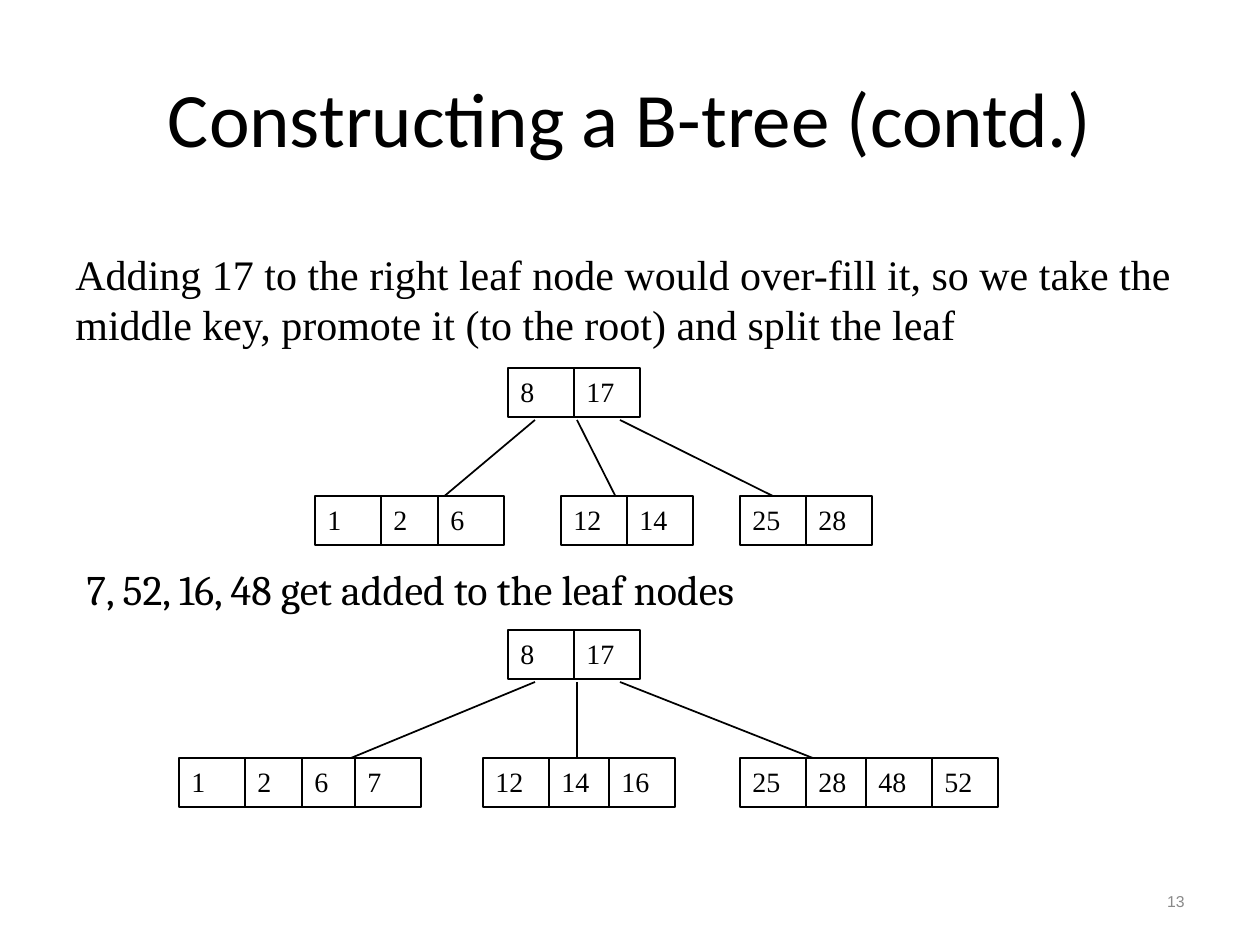
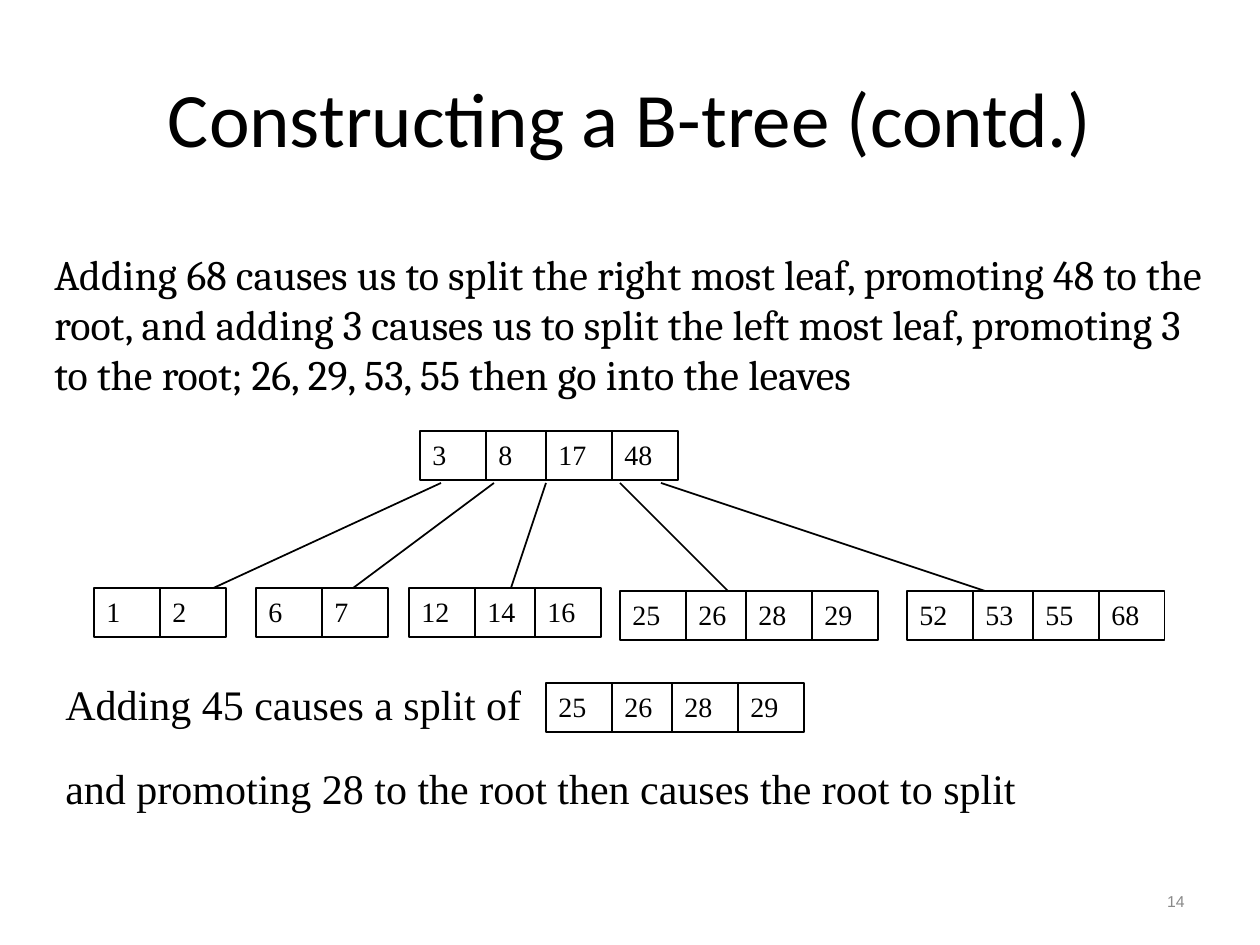
"""Build two slides that show the growth of a B-tree."""
import lxml.etree
import pptx
import pptx.dml.color
import pptx.enum.shapes
import pptx.enum.text
import pptx.oxml.ns
import pptx.util

EMU_PER_PX = 914400 / 126
BLACK = pptx.dml.color.RGBColor(0x00, 0x00, 0x00)
WHITE = pptx.dml.color.RGBColor(0xFF, 0xFF, 0xFF)
GRAY = pptx.dml.color.RGBColor(0x89, 0x89, 0x89)

ALIGN = pptx.enum.text.PP_ALIGN
ANCHOR = pptx.enum.text.MSO_ANCHOR

TITLE = "Constructing a B-tree (contd.)"
TITLE_BOX = (63, 38, 1134, 157)
NUMBER_BOX = (903, 876, 294, 50)

TITLE_FONT = {"name": "Calibri", "size": pptx.util.Pt(44)}
NUMBER_FONT = {"name": "Arial", "size": pptx.util.Pt(9)}
KEY_FONT = {"name": "Times New Roman", "size": pptx.util.Pt(16)}
TIMES_FONT = {"name": "Times New Roman", "size": pptx.util.Pt(24)}
CAMBRIA_FONT = {"name": "Cambria", "size": pptx.util.Pt(24)}

CELL_WIDTH, CELL_HEIGHT = 66, 49
CELL_OFFSETS = (0, 66, 126, 192)
NARROW_OFFSETS = (0, 66, 123, 176)
BRANCH_TOP = 52


def px(*lengths):
    """Turn lengths in px into a list of EMU."""
    return [pptx.util.Emu(round(length * EMU_PER_PX)) for length in lengths]


def write_text(shape, text, font, color=BLACK, align=ALIGN.LEFT, anchor=ANCHOR.TOP):
    """Put one formatted paragraph into a shape."""
    frame = shape.text_frame
    frame.text = text
    frame.word_wrap = True
    frame.vertical_anchor = anchor
    paragraph = frame.paragraphs[0]
    paragraph.alignment = align
    for attribute, value in font.items():
        setattr(paragraph.font, attribute, value)
    paragraph.font.color.rgb = color


def add_note(slide, box, text, font):
    """Add a text box that grows with its text."""
    shape = slide.shapes.add_textbox(*px(*box))
    write_text(shape, text, font)
    shape.text_frame.auto_size = pptx.enum.text.MSO_AUTO_SIZE.SHAPE_TO_FIT_TEXT


def add_node(slide, left, top, keys, offsets=CELL_OFFSETS):
    """Draw a node as a row of key cells."""
    for offset, key in zip(offsets, keys):
        cell = slide.shapes.add_shape(
            pptx.enum.shapes.MSO_SHAPE.RECTANGLE,
            *px(left + offset, top, CELL_WIDTH, CELL_HEIGHT))
        cell.shadow.inherit = False
        cell.fill.solid()
        cell.fill.fore_color.rgb = WHITE
        cell.line.color.rgb = BLACK
        cell.line.width = pptx.util.Pt(0.75)
        write_text(cell, str(key), KEY_FONT)


def add_branch(slide, start_x, start_y, end_x, end_y):
    """Draw a plain line from the root towards a leaf."""
    branch = slide.shapes.add_connector(
        pptx.enum.shapes.MSO_CONNECTOR.STRAIGHT, *px(start_x, start_y, end_x, end_y))
    branch.line.color.rgb = BLACK
    branch.line.width = pptx.util.Pt(1)
    lxml.etree.SubElement(branch.element.spPr, pptx.oxml.ns.qn("a:effectLst"))


def add_tree(slide, left, top, root_left, root_keys, leaves, branches):
    """Draw a two-level tree relative to its left top corner."""
    for start_x, end_x, end_y in branches:
        add_branch(slide, left + start_x, top + BRANCH_TOP, left + end_x, top + end_y)
    add_node(slide, left + root_left, top, root_keys)
    for leaf_left, leaf_top, *node in leaves:
        add_node(slide, left + leaf_left, top + leaf_top, *node)


def add_base_slide(presentation, number):
    """Add a slide with the shared title and its number."""
    slide = presentation.slides.add_slide(presentation.slide_layouts[5])
    title = slide.shapes.title
    title.left, title.top, title.width, title.height = px(*TITLE_BOX)
    write_text(title, TITLE, TITLE_FONT, align=ALIGN.CENTER, anchor=ANCHOR.MIDDLE)
    number_box = slide.shapes.add_textbox(*px(*NUMBER_BOX))
    write_text(number_box, str(number), NUMBER_FONT, GRAY, ALIGN.RIGHT, ANCHOR.MIDDLE)
    return slide


def add_leaf_split_slide(presentation):
    """Show the split of the right leaf and the keys added afterwards."""
    slide = add_base_slide(presentation, 13)
    add_note(slide, (63, 242, 1155, 113),
             "Adding 17 to the right leaf node would over-fill it, so we take the "
             "middle key, promote it (to the root) and split the leaf", TIMES_FONT)
    add_tree(slide, 315, 368, 193, (8, 17),
             leaves=[(0, 128, (1, 2, 6), NARROW_OFFSETS),
                     (246, 128, (12, 14)),
                     (425, 128, (25, 28))],
             branches=[(220, 95, 157), (262, 315, 157), (305, 494, 146)])
    add_note(slide, (74, 557, 1134, 63),
             "7, 52, 16, 48 get added to the leaf nodes", CAMBRIA_FONT)
    add_tree(slide, 179, 630, 329, (8, 17),
             leaves=[(0, 128, (1, 2, 6, 7), NARROW_OFFSETS),
                     (304, 128, (12, 14, 16)),
                     (561, 128, (25, 28, 48, 52))],
             branches=[(356, 126, 147), (398, 398, 158), (441, 682, 147)])


def add_root_split_slide(presentation):
    """Show the full root and the leaf whose split divides it."""
    slide = add_base_slide(presentation, 14)
    add_note(slide, (42, 242, 1176, 164),
             "Adding 68 causes us to split the right most leaf, promoting 48 to the "
             "root, and adding 3 causes us to split the left most leaf, promoting 3 "
             "to the root; 26, 29, 53, 55 then go into the leaves", CAMBRIA_FONT)
    split_leaf = (25, 26, 28, 29)
    add_tree(slide, 94, 431, 326, (3, 8, 17, 48),
             leaves=[(0, 157, (1, 2)),
                     (162, 157, (6, 7)),
                     (315, 157, (12, 14, 16)),
                     (526, 160, split_leaf),
                     (813, 160, (52, 53, 55, 68))],
             branches=[(347, 74, 178), (400, 231, 178), (452, 410, 178),
                       (526, 652, 178), (567, 945, 178)])
    add_note(slide, (53, 672, 504, 63), "Adding 45 causes a split of", TIMES_FONT)
    add_node(slide, 546, 683, split_leaf)
    add_note(slide, (53, 756, 1144, 63),
             "and promoting 28 to the root then causes the root to split", TIMES_FONT)


def main():
    """Build the presentation and save it."""
    presentation = pptx.Presentation()
    presentation.slide_width, presentation.slide_height = px(1260, 945)
    add_leaf_split_slide(presentation)
    add_root_split_slide(presentation)
    presentation.save("out.pptx")


if __name__ == "__main__":
    main()
